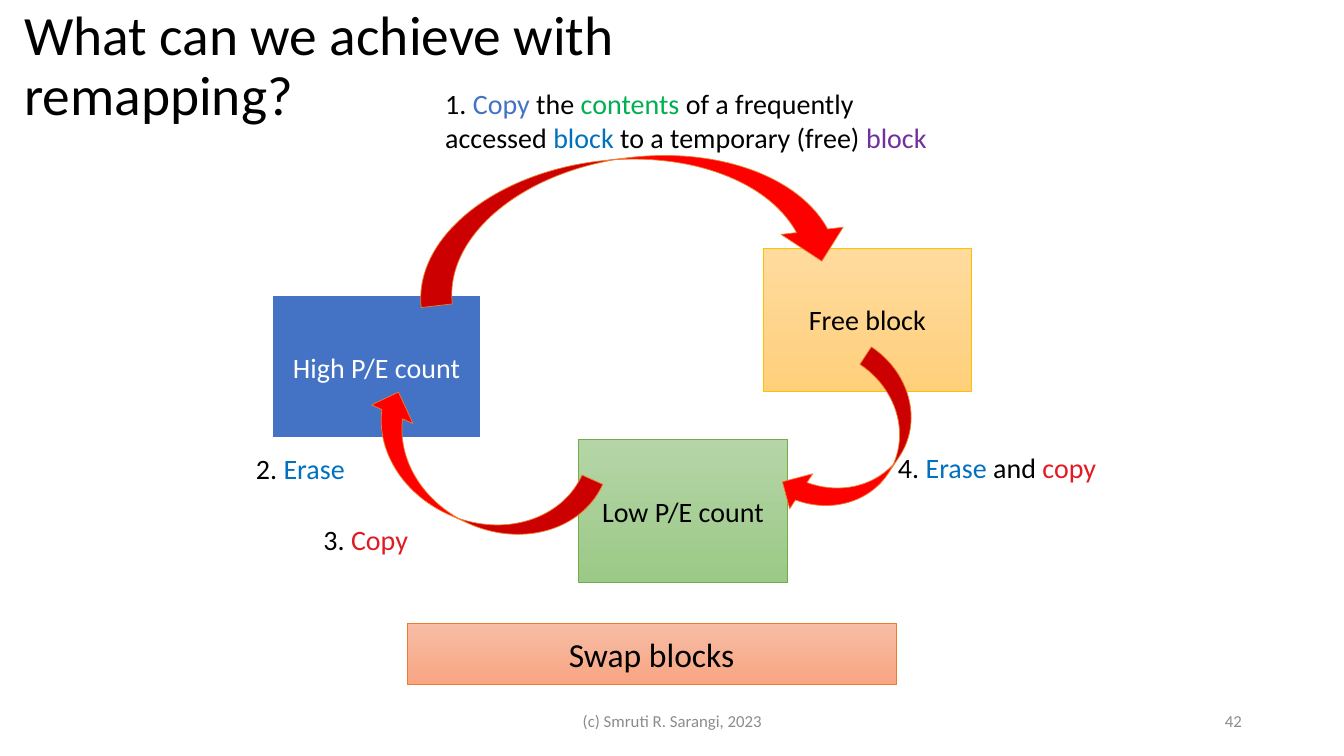
from dataclasses import dataclass

from pptx import Presentation
from pptx.dml.color import RGBColor
from pptx.enum.shapes import MSO_SHAPE
from pptx.enum.text import MSO_ANCHOR, PP_ALIGN
from pptx.shapes.autoshape import Shape
from pptx.slide import Slide
from pptx.text.text import TextFrame
from pptx.util import Cm, Pt

RECTANGLE = MSO_SHAPE.RECTANGLE
CURVED_ARROW = MSO_SHAPE.CURVED_LEFT_ARROW
MIDDLE, TOP = MSO_ANCHOR.MIDDLE, MSO_ANCHOR.TOP
LEFT, CENTER, RIGHT = PP_ALIGN.LEFT, PP_ALIGN.CENTER, PP_ALIGN.RIGHT

FONT = "Calibri"
COLORS = {
    "black": "000000", "white": "FFFFFF", "gray": "8C8C8C",
    "blue": "4472C4", "sky": "0070C0", "green": "00B050",
    "purple": "7030A0", "crimson": "E21A23", "red": "FF0000",
    "orange": "ED7D31", "gold": "FFC000", "leaf": "70AD47",
    "peach light": "F7BDA5", "peach dark": "F8A582",
    "sand light": "FFDB9E", "sand dark": "FFD07C",
    "sage light": "B5D5A7", "sage dark": "9CC987",
}
BREAK = ("\n", "black")

Box = tuple[float, float, float, float]  # left, top, width, height in cm
Runs = tuple[tuple[str, str], ...]  # wording and colour name


@dataclass(frozen=True)
class Block:
    text: str
    box: Box
    fill: tuple[str, ...]  # one colour, or top and bottom of a gradient
    line: str
    line_width: float = 0.5
    text_color: str = "black"
    size: float = 20


@dataclass(frozen=True)
class Arrow:
    box: Box
    rotation: float
    flipped: bool = False


@dataclass(frozen=True)
class Label:
    runs: Runs
    box: Box
    size: float = 20
    align: PP_ALIGN = LEFT
    anchor: MSO_ANCHOR = TOP
    wrap: bool = False
    line_spacing: float = 1.0


BLOCK_SIZE = (5.26, 3.61)
BLOCKS = [
    Block("Swap blocks", (10.26, 15.7, 12.32, 1.55),
          ("peach light", "peach dark"), "orange", size=24),
    Block("High P/E count", (6.86, 7.44, *BLOCK_SIZE),
          ("blue",), "white", 1.5, "white"),
    Block("Free block", (19.23, 6.25, *BLOCK_SIZE),
          ("sand light", "sand dark"), "gold"),
    Block("Low P/E count", (14.58, 11.07, *BLOCK_SIZE),
          ("sage light", "sage dark"), "leaf"),
]
ARROWS = [
    Arrow((14.3, 0.08, 3.15, 10.95), 263.4),
    Arrow((10.74, 8.86, 2.29, 6.22), 294.3, flipped=True),
    Arrow((20.52, 8.94, 2.11, 4.6), 213.4, flipped=True),
]
LABELS = [
    Label((("What can we achieve with remapping?", "black"),),
          (0.36, 0.56, 19.05, 2.29), 39.6, anchor=MIDDLE, wrap=True,
          line_spacing=0.9),
    Label((("(c) Smruti R. Sarangi, 2023", "gray"),),
          (11.23, 17.65, 11.43, 1.02), 12, CENTER, MIDDLE, True),
    Label((("42", "gray"),),
          (23.93, 17.65, 7.62, 1.02), 12, RIGHT, MIDDLE, True),
    Label((("1. ", "black"), ("Copy", "blue"), (" the ", "black"),
           ("contents", "green"), (" of a frequently", "black"), BREAK,
           ("accessed ", "black"), ("block", "sky"),
           (" to a temporary (free) ", "black"), ("block", "purple")),
          (10.97, 2.06, 12.78, 1.96)),
    Label((("2. ", "black"), ("Erase", "sky")), (6.2, 11.25, 2.77, 1.12)),
    Label((("3. ", "black"), ("Copy", "crimson")), (7.9, 13.03, 2.67, 1.12)),
    Label((("4. ", "black"), ("Erase", "sky"), (" and ", "black"),
           ("copy", "crimson")), (22.38, 11.23, 5.54, 1.12)),
]


def rgb(name: str) -> RGBColor:
    return RGBColor.from_string(COLORS[name])


def write_runs(frame: TextFrame, runs: Runs, size: float, align: PP_ALIGN,
               line_spacing: float = 1.0) -> None:
    paragraph = frame.paragraphs[0]
    paragraph.alignment = align
    paragraph.line_spacing = line_spacing
    paragraph.font.name = FONT
    paragraph.font.size = Pt(size)
    for piece in runs:
        if piece == BREAK:
            paragraph.add_line_break()
            continue
        run = paragraph.add_run()
        run.text = piece[0]
        run.font.color.rgb = rgb(piece[1])


def add_filled_shape(slide: Slide, kind: MSO_SHAPE, box: Box,
                     fill: tuple[str, ...], line: str,
                     line_width: float) -> Shape:
    shape = slide.shapes.add_shape(kind, *map(Cm, box))
    shape.shadow.inherit = False
    if len(fill) == 1:
        shape.fill.solid()
        shape.fill.fore_color.rgb = rgb(fill[0])
    else:
        shape.fill.gradient()
        shape.fill.gradient_angle = 270
        for stop, color in zip(shape.fill.gradient_stops, fill):
            stop.color.rgb = rgb(color)
    shape.line.color.rgb = rgb(line)
    shape.line.width = Pt(line_width)
    return shape


def add_block(slide: Slide, block: Block) -> None:
    shape = add_filled_shape(slide, RECTANGLE, block.box, block.fill,
                             block.line, block.line_width)
    shape.text_frame.vertical_anchor = MIDDLE
    write_runs(shape.text_frame, ((block.text, block.text_color),),
               block.size, CENTER)


def add_arrow(slide: Slide, arrow: Arrow) -> None:
    shape = add_filled_shape(slide, CURVED_ARROW, arrow.box, ("red",),
                             "orange", 0.5)
    shape.rotation = arrow.rotation
    if arrow.flipped:
        transform = shape.element.spPr.xfrm
        transform.set("flipH", "1")
        transform.set("flipV", "1")


def add_label(slide: Slide, label: Label) -> None:
    frame = slide.shapes.add_textbox(*map(Cm, label.box)).text_frame
    frame.word_wrap = label.wrap
    frame.vertical_anchor = label.anchor
    write_runs(frame, label.runs, label.size, label.align, label.line_spacing)


def main() -> None:
    deck = Presentation()
    deck.slide_width, deck.slide_height = Cm(33.87), Cm(19.05)
    slide = deck.slides.add_slide(deck.slide_layouts[6])
    for block in BLOCKS:
        add_block(slide, block)
    for arrow in ARROWS:
        add_arrow(slide, arrow)
    for label in LABELS:
        add_label(slide, label)
    deck.save("out.pptx")


if __name__ == "__main__":
    main()
